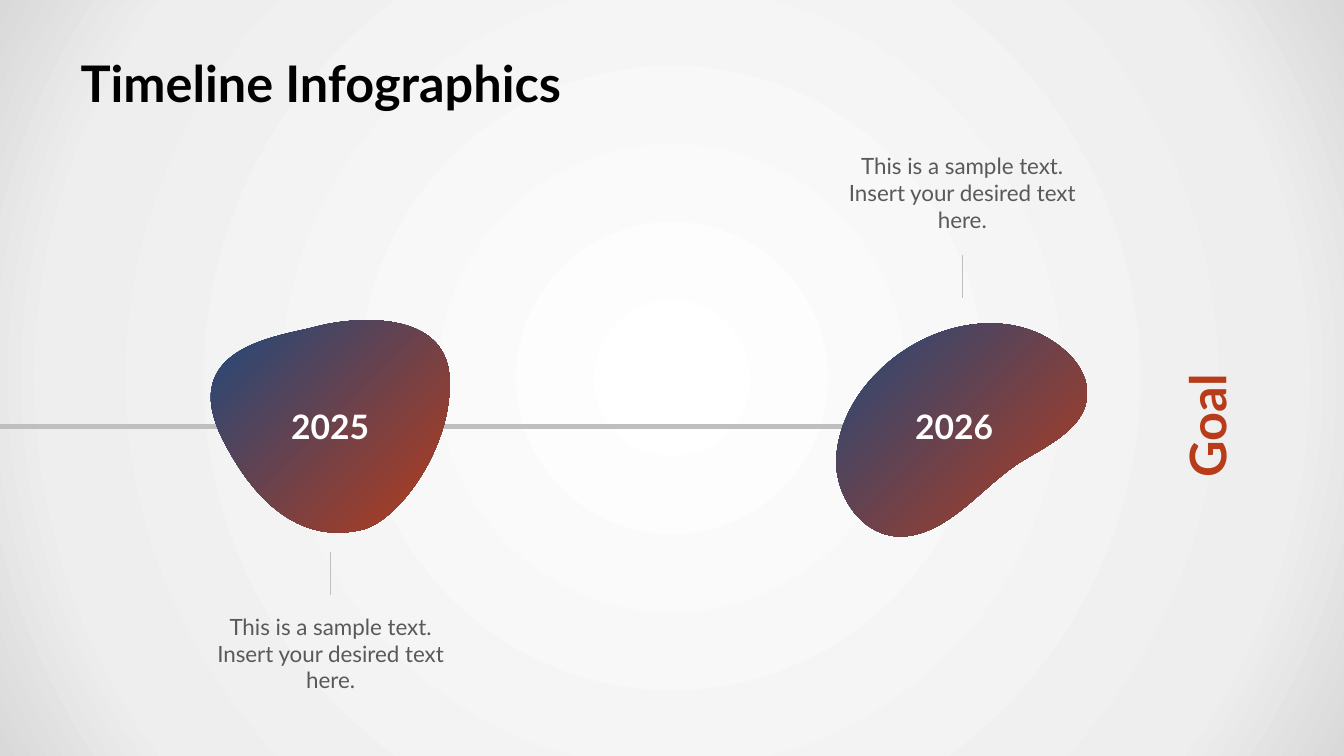
from dataclasses import dataclass

from lxml.etree import SubElement
from pptx import Presentation
from pptx.dml.color import RGBColor
from pptx.enum.shapes import MSO_CONNECTOR as Connector
from pptx.enum.text import MSO_ANCHOR as Anchor, MSO_AUTO_SIZE as AutoSize, PP_ALIGN as Align
from pptx.oxml import parse_xml
from pptx.oxml.ns import nsdecls, qn
from pptx.slide import Slide
from pptx.text.text import TextFrame
from pptx.util import Pt

FONT = "Lato"
BLACK = RGBColor(0x00, 0x00, 0x00)
WHITE = RGBColor(0xFF, 0xFF, 0xFF)
GREY = RGBColor(0xBF, 0xBF, 0xBF)
DARK_GREY = RGBColor(0x59, 0x59, 0x59)
NAVY = RGBColor(0x1F, 0x49, 0x7D)
RUST = RGBColor(0xB8, 0x3B, 0x1A)
BACKDROP = [(0, WHITE), (81, RGBColor(0xEE, 0xEE, 0xEE)), (100, RGBColor(0xD9, 0xD9, 0xD9))]

AXIS_Y = 304.6
AXIS_END = 706.3
NOTE = "This is a sample text. Insert your desired text here."

Point = tuple[float, float]
Box = tuple[float, float, float, float]


@dataclass(frozen=True)
class TextStyle:
    size: float
    color: RGBColor
    bold: bool = True


TITLE = TextStyle(36, BLACK)
YEAR = TextStyle(24, WHITE)
GOAL = TextStyle(36, RUST)
BODY = TextStyle(16, DARK_GREY, bold=False)


@dataclass(frozen=True)
class Milestone:
    year: str
    year_center: float
    note_center: float
    note_top: float
    tick_top: float
    tick_bottom: float
    blob_box: Box
    start: Point
    curves: list[tuple[Point, Point, Point]]


MILESTONES = [
    Milestone(
        "2025", 235.8, 236.2, 434.2, 394.6, 424.8,
        (150.5, 228.2, 170.6, 151.9),
        (159.1, 313.9),
        [
            ((126, 247.7), (198.7, 240.5), (226.1, 233.3)),
            ((252.7, 226.1), (318.2, 221), (321.1, 269.3)),
            ((324, 317.5), (286.6, 370.1), (259.9, 378)),
            ((232.6, 385.2), (193, 380.2), (159.1, 313.9)),
        ],
    ),
    Milestone(
        "2026", 681.5, 687.4, 105.1, 182.2, 213.1,
        (594.7, 222.5, 184.3, 163.4),
        (635.8, 257.8),
        [
            ((664.6, 234), (707, 222.5), (742.3, 238.3)),
            ((757.4, 245.5), (774.7, 259.9), (776.2, 277.2)),
            ((779.8, 305.3), (745.9, 319), (727.2, 331.2)),
            ((702.7, 347), (679, 379.4), (648, 383)),
            ((616.3, 386.6), (594.7, 352.8), (597.6, 324.7)),
            ((599.8, 298.8), (614.9, 275), (635.8, 257.8)),
        ],
    ),
]


def write(frame: TextFrame, text: str, style: TextStyle, align: Align) -> None:
    para = frame.paragraphs[0]
    para.alignment = align
    span = para.add_run()
    span.text = text
    span.font.name = FONT
    span.font.size = Pt(style.size)
    span.font.bold = style.bold
    span.font.color.rgb = style.color


def add_label(slide: Slide, box: Box, text: str, style: TextStyle,
              wrap: bool = False, rotation: float = 0) -> None:
    label = slide.shapes.add_textbox(*map(Pt, box))
    label.rotation = rotation
    frame = label.text_frame
    frame.word_wrap = wrap
    frame.auto_size = AutoSize.SHAPE_TO_FIT_TEXT
    if wrap:
        frame.margin_left = frame.margin_right = 0
    write(frame, text, style, Align.CENTER)


def add_line(slide: Slide, start: Point, end: Point, width: float) -> None:
    line = slide.shapes.add_connector(Connector.STRAIGHT, *map(Pt, start + end))
    line.line.color.rgb = GREY
    line.line.width = Pt(width)
    SubElement(line._element.spPr, qn("a:effectLst"))


def add_blob(slide: Slide, milestone: Milestone) -> None:
    """Frame the blob with its box, then trace its Bézier outline inside."""
    left, top, width, height = milestone.blob_box
    right, bottom = left + width, top + height
    builder = slide.shapes.build_freeform(Pt(left), Pt(top))
    corners = [(right, top), (right, bottom), (left, bottom)]
    builder.add_line_segments([(Pt(x), Pt(y)) for x, y in corners])
    blob = builder.convert_to_shape()

    outline = next(blob._element.iter(qn("a:path")))
    for step in list(outline):
        outline.remove(step)
    steps = [("a:moveTo", (milestone.start,))]
    steps += [("a:cubicBezTo", curve) for curve in milestone.curves]
    for tag, points in steps:
        step = SubElement(outline, qn(tag))
        for x, y in points:
            SubElement(step, qn("a:pt"), x=str(Pt(x - left)), y=str(Pt(y - top)))
    SubElement(outline, qn("a:close"))

    blob.shadow.inherit = False
    blob.line.fill.background()
    blob.fill.gradient()
    blob.fill.gradient_angle = 315
    for stop, color in zip(blob.fill.gradient_stops, (NAVY, RUST)):
        stop.color.rgb = color


def add_milestone(slide: Slide, milestone: Milestone) -> None:
    add_blob(slide, milestone)
    add_label(slide, (milestone.year_center - 35, 286.6, 70, 36), milestone.year, YEAR)
    center = milestone.note_center
    add_label(slide, (center - 92.2, milestone.note_top, 184.4, 65.5), NOTE, BODY, wrap=True)
    add_line(slide, (center, milestone.tick_top), (center, milestone.tick_bottom), 0.75)


def set_radial_background(slide: Slide) -> None:
    stops = "".join(
        f'<a:gs pos="{percent * 1000}"><a:srgbClr val="{color}"/></a:gs>'
        for percent, color in BACKDROP
    )
    slide._element.cSld.insert(0, parse_xml(
        f'<p:bg {nsdecls("p", "a")}><p:bgPr><a:gradFill><a:gsLst>{stops}</a:gsLst>'
        '<a:path path="circle"><a:fillToRect l="50000" t="50000" r="50000" b="50000"/>'
        "</a:path></a:gradFill><a:effectLst/></p:bgPr></p:bg>"
    ))


def set_title(slide: Slide, text: str) -> None:
    title = slide.shapes.title
    title.left, title.top, title.width, title.height = map(Pt, (48, 31, 864, 56))
    frame = title.text_frame
    frame.word_wrap = True
    frame.auto_size = AutoSize.NONE
    frame.vertical_anchor = Anchor.MIDDLE
    frame.margin_left = frame.margin_right = Pt(9.6)
    frame.margin_top = frame.margin_bottom = Pt(4.8)
    write(frame, text, TITLE, Align.LEFT)


def main() -> None:
    deck = Presentation()
    deck.slide_width, deck.slide_height = Pt(960), Pt(540)
    page = deck.slides.add_slide(deck.slide_layouts[5])
    set_radial_background(page)
    set_title(page, "Timeline Infographics")
    add_line(page, (0, AXIS_Y), (AXIS_END, AXIS_Y), 3)
    for milestone in MILESTONES:
        add_milestone(page, milestone)
    add_label(page, (815.8, 278.6, 92.2, 51.1), "Goal", GOAL, rotation=270)
    deck.save("out.pptx")


if __name__ == "__main__":
    main()
